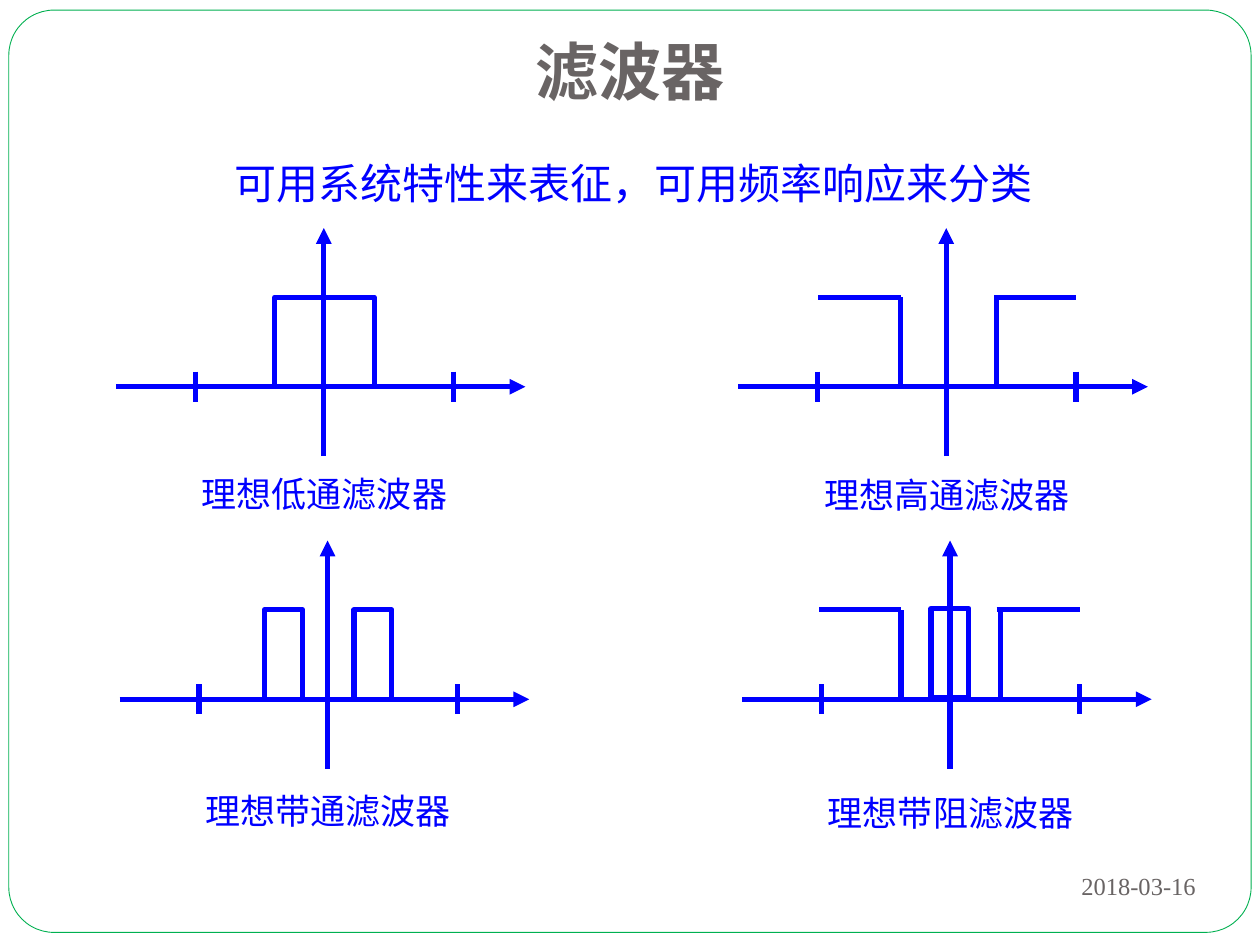
"""Builds a slide that compares the frequency responses of four ideal filters."""
from lxml.etree import SubElement
from pptx import Presentation
from pptx.dml.color import RGBColor
from pptx.enum.shapes import MSO_CONNECTOR, MSO_SHAPE
from pptx.enum.text import MSO_ANCHOR, PP_ALIGN
from pptx.oxml.ns import qn
from pptx.util import Inches, Pt

BLUE = RGBColor(0x00, 0x00, 0xFF)
GREEN = RGBColor(0x00, 0xB0, 0x50)
GRAY = RGBColor(0x69, 0x64, 0x64)
WHITE = RGBColor(0xFF, 0xFF, 0xFF)
CHINESE_FONT = "Noto Sans CJK SC"
PASS_HEIGHT = 0.71


def add_text(text, left, top, width, height, size=20, font=CHINESE_FONT, color=BLUE,
             bold=False, align=PP_ALIGN.CENTER, anchor=MSO_ANCHOR.TOP, wrap=False):
    box = slide.shapes.add_textbox(Inches(left), Inches(top), Inches(width), Inches(height))
    frame = box.text_frame
    frame.word_wrap = wrap
    frame.vertical_anchor = anchor
    paragraph = frame.paragraphs[0]
    paragraph.alignment = align
    run = paragraph.add_run()
    run.text = text
    run.font.size = Pt(size)
    run.font.bold = bold
    run.font.color.rgb = color
    run.font.name = font
    SubElement(run.font._element, qn("a:ea"), typeface=CHINESE_FONT)


def add_line(x1, y1, x2, y2, arrow=False):
    connector = slide.shapes.add_connector(
        MSO_CONNECTOR.STRAIGHT, Inches(x1), Inches(y1), Inches(x2), Inches(y2))
    connector.line.color.rgb = BLUE
    connector.line.width = Pt(3)
    if arrow:
        SubElement(connector.line._get_or_add_ln(), qn("a:tailEnd"), type="triangle")
    SubElement(connector._element.spPr, qn("a:effectLst"))


presentation = Presentation()
presentation.slide_width = Inches(10)
presentation.slide_height = Inches(7.5)
slide = presentation.slides.add_slide(presentation.slide_layouts[6])

border = slide.shapes.add_shape(
    MSO_SHAPE.ROUNDED_RECTANGLE, Inches(0.07), Inches(0.08), Inches(9.86), Inches(7.32))
border.adjustments[0] = 0.049
border.shadow.inherit = False
border.fill.solid()
border.fill.fore_color.rgb = WHITE
border.line.color.rgb = GREEN
border.line.width = Pt(0.5)

add_text("滤波器", 4.14, 0.21, 1.72, 0.71, size=36, font="Karla", color=GRAY, bold=True)
add_text("可用系统特性来表征，可用频率响应来分类", 1.71, 1.2, 6.63, 0.5, size=24)
add_text("2018-03-16", 8.06, 6.77, 1.53, 0.52, size=14, font="Times New Roman", color=GRAY,
         align=PP_ALIGN.RIGHT, anchor=MSO_ANCHOR.MIDDLE, wrap=True)

# name, origin x and y, label top, closed bands (left, width, lift), open bands (edge, inner, outer)
filters = [
    ("理想低通滤波器", 2.57, 3.07, 3.7, [(-0.39, 0.79, 0)], []),
    ("理想高通滤波器", 7.51, 3.07, 3.71, [], [(-0.36, -0.36, -1.02), (0.4, 0.38, 1.03)]),
    ("理想带通滤波器", 2.6, 5.55, 6.22, [(-0.5, 0.3, 0), (0.21, 0.3, 0)], []),
    ("理想带阻滤波器", 7.54, 5.55, 6.23, [(-0.15, 0.3, 0.01)],
     [(-0.39, -0.39, -1.04), (0.4, 0.37, 1.03)]),
]

for name, x, y, label_top, closed_bands, open_bands in filters:
    add_line(x - 1.65, y, x + 1.6, y, arrow=True)
    add_line(x, y + 0.55, x, y - 1.26, arrow=True)
    for tick in (-1.02, 1.03):
        add_line(x + tick, y - 0.12, x + tick, y + 0.12)
    for left, width, lift in closed_bands:
        band = slide.shapes.add_shape(
            MSO_SHAPE.RECTANGLE, Inches(x + left), Inches(y - PASS_HEIGHT - lift),
            Inches(width), Inches(PASS_HEIGHT))
        band.shadow.inherit = False
        band.fill.background()
        band.line.color.rgb = BLUE
        band.line.width = Pt(3)
    for edge, inner, outer in open_bands:
        add_line(x + edge, y, x + edge, y - PASS_HEIGHT)
        add_line(x + inner, y - PASS_HEIGHT, x + outer, y - PASS_HEIGHT)
    add_text(name, x - 1.08, label_top, 2.17, 0.44)

presentation.save("out.pptx")
